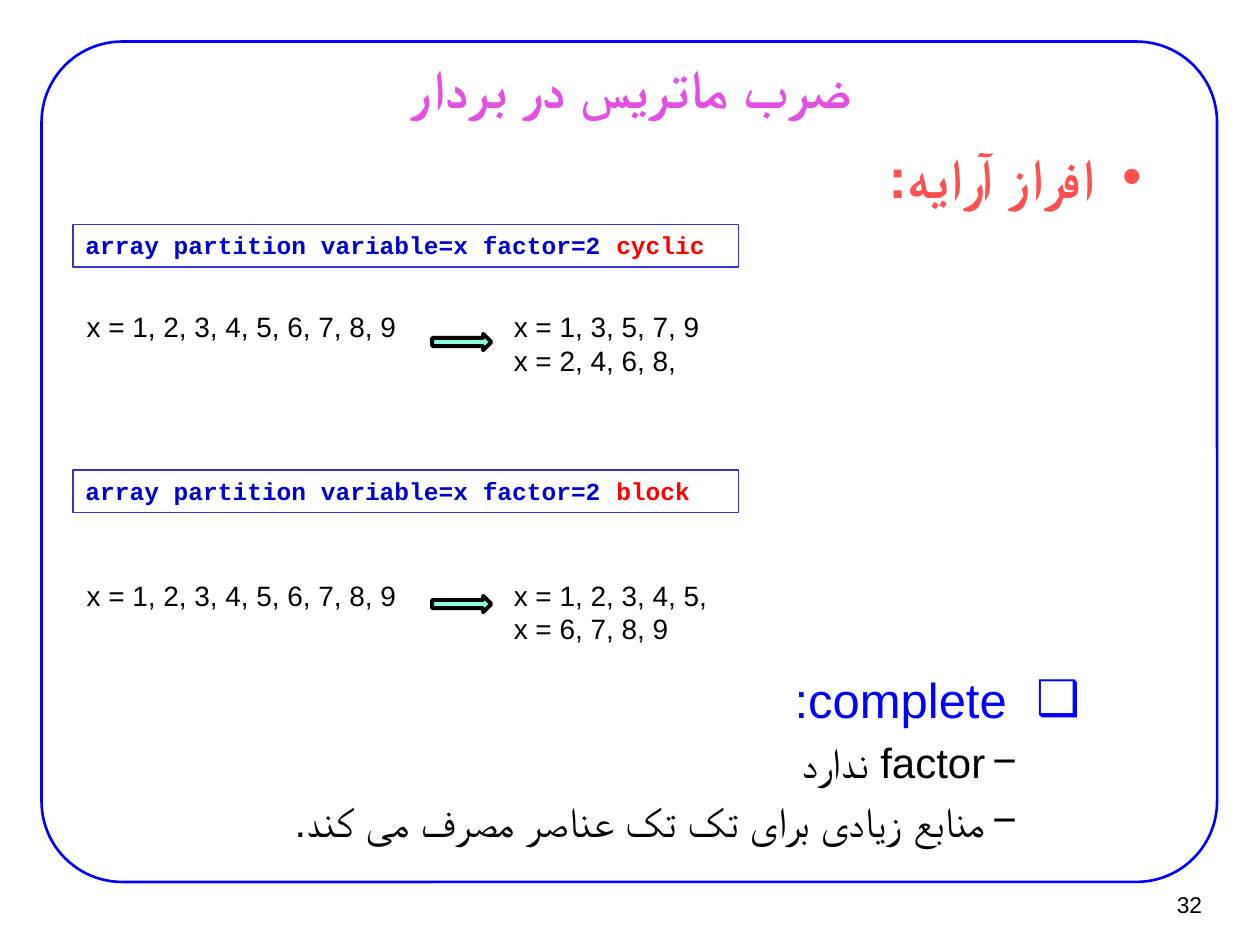
from dataclasses import dataclass

from lxml import etree
from pptx import Presentation
from pptx.dml.color import RGBColor
from pptx.enum.shapes import MSO_SHAPE
from pptx.enum.text import MSO_ANCHOR, PP_ALIGN
from pptx.oxml.ns import qn
from pptx.util import Inches, Pt

RECT = MSO_SHAPE.RECTANGLE
ROUND = MSO_SHAPE.ROUNDED_RECTANGLE
ARROW = MSO_SHAPE.RIGHT_ARROW
TOP, MIDDLE = MSO_ANCHOR.TOP, MSO_ANCHOR.MIDDLE
LEFT, CENTER, RIGHT = PP_ALIGN.LEFT, PP_ALIGN.CENTER, PP_ALIGN.RIGHT


@dataclass(frozen=True)
class Theme:
    sans: str = "Arial"
    mono: str = "Courier New"
    black: str = "000000"
    blue: str = "0000FF"
    pink: str = "E44EE4"
    coral: str = "FF5050"
    code: str = "0000CC"
    key: str = "FF0000"
    edge: str = "3333CC"
    mint: str = "85FFE0"
    title: int = 31
    head: int = 32
    item: int = 28
    note: int = 24
    data: int = 16
    mono_size: int = 14
    page: int = 13


class Deck:
    def __init__(self, theme, slide):
        self.theme = theme
        self.slide = slide

    def shape(self, kind, box, line, width, fill=None):
        shape = self.slide.shapes.add_shape(kind, *map(Inches, box))
        shape.shadow.inherit = False
        shape.line.color.rgb = RGBColor.from_string(line)
        shape.line.width = Pt(width)
        if fill:
            shape.fill.solid()
            shape.fill.fore_color.rgb = RGBColor.from_string(fill)
        else:
            shape.fill.background()
        return shape

    def frame(self, frame, anchor=TOP, pad=(0.1, 0.05), wrap=True):
        frame.word_wrap = wrap
        frame.vertical_anchor = anchor
        frame.margin_left = frame.margin_right = Inches(pad[0])
        frame.margin_top = frame.margin_bottom = Inches(pad[1])
        return frame

    def style(self, run, size, color, bold=False, face=None):
        font = run.font
        font.name = face or self.theme.sans
        font.size, font.bold = Pt(size), bold
        font.color.rgb = RGBColor.from_string(color)
        script = etree.SubElement(run.font._element, qn("a:cs"))
        script.set("typeface", font.name)

    def text(self, box, lines, size, color, bold=False, align=LEFT, **setup):
        area = self.slide.shapes.add_textbox(*map(Inches, box))
        frame = self.frame(area.text_frame, **setup)
        frame.text = "\n".join(lines)
        for para in frame.paragraphs:
            para.alignment = align
            self.style(para.runs[0], size, color, bold)

    def bullets(self, box, items):
        """Right-to-left list; items: text, mark, level, indent, hang, size, color, bold."""
        area = self.slide.shapes.add_textbox(*map(Inches, box))
        frame = self.frame(area.text_frame, pad=(0.11, 0.06))
        frame.text = "\n".join(item[0] for item in items)
        for para, item in zip(frame.paragraphs, items):
            _, mark, level, indent, hang, size, color, bold = item
            para.alignment, para.level = RIGHT, level
            para.space_before = Pt(0.2 * size)
            self.style(para.runs[0], size, color, bold)
            props = para._p.get_or_add_pPr()
            props.set("marL", str(Inches(indent)))
            props.set("marR", "0")
            props.set("indent", str(Inches(-hang)))
            props.set("rtl", "1")
            etree.SubElement(props, qn("a:buFont")).set("typeface", self.theme.sans)
            etree.SubElement(props, qn("a:buChar")).set("char", mark)

    def code(self, box, text, key):
        t = self.theme
        shape = self.shape(RECT, box, t.edge, 0.75)
        para = self.frame(shape.text_frame).paragraphs[0]
        para.alignment = LEFT
        for part, color in ((text, t.code), (key, t.key)):
            run = para.add_run()
            run.text = part
            self.style(run, t.mono_size, color, True, t.mono)


def main():
    prs = Presentation()
    prs.slide_width, prs.slide_height = Inches(10), Inches(7.5)
    t = Theme()
    deck = Deck(t, prs.slides.add_slide(prs.slide_layouts[6]))

    # Border, title and page number
    border = deck.shape(ROUND, (0.33, 0.33, 9.33, 6.67), t.blue, 1.5)
    border.adjustments[0] = 0.096
    deck.text((0.76, 0.44, 8.5, 0.49), ["ضرب ماتریس در بردار"], t.title, t.pink,
              True, CENTER, anchor=MIDDLE, pad=(0.11, 0.06))
    deck.text((9.02, 6.99, 0.61, 0.37), ["32"], t.page, t.black,
              align=RIGHT, anchor=MIDDLE, pad=(0.09, 0.04), wrap=False)

    # Heading
    deck.bullets((5.55, 1.07, 3.62, 0.85), [
        ("افراز آرایه:", "•", 0, 0.38, 0.38, t.head, t.coral, True)])

    # Partition examples: directive, input, arrow, result
    examples = [
        ("cyclic", 1.78, 2.41, 2.65, ["x = 1, 3, 5, 7, 9", "x = 2, 4, 6, 8,"]),
        ("block", 3.73, 4.54, 4.73, ["x = 1, 2, 3, 4, 5,", "x = 6, 7, 8, 9"]),
    ]
    for key, code_top, data_top, arrow_top, result in examples:
        deck.code((0.58, code_top, 5.28, 0.34),
                  "array partition variable=x factor=2 ", key)
        deck.text((0.59, data_top, 2.83, 0.37),
                  ["x = 1, 2, 3, 4, 5, 6, 7, 8, 9"], t.data, t.black)
        deck.text((3.98, data_top, 2.83, 0.64), result, t.data, t.black)
        deck.shape(ARROW, (3.43, arrow_top, 0.47, 0.13), t.black, 2.25, t.mint)

    # Complete partition
    note = ("−", 2, 1.25, 0.25, t.note, t.black, False)
    deck.bullets((0.91, 5.25, 8.27, 1.57), [
        ("complete:", "❑", 1, 1.08, 0.58, t.item, t.blue, False),
        ("factor ندارد", *note),
        ("منابع زیادی برای تک تک عناصر مصرف می کند.", *note)])

    prs.save("out.pptx")


if __name__ == "__main__":
    main()
